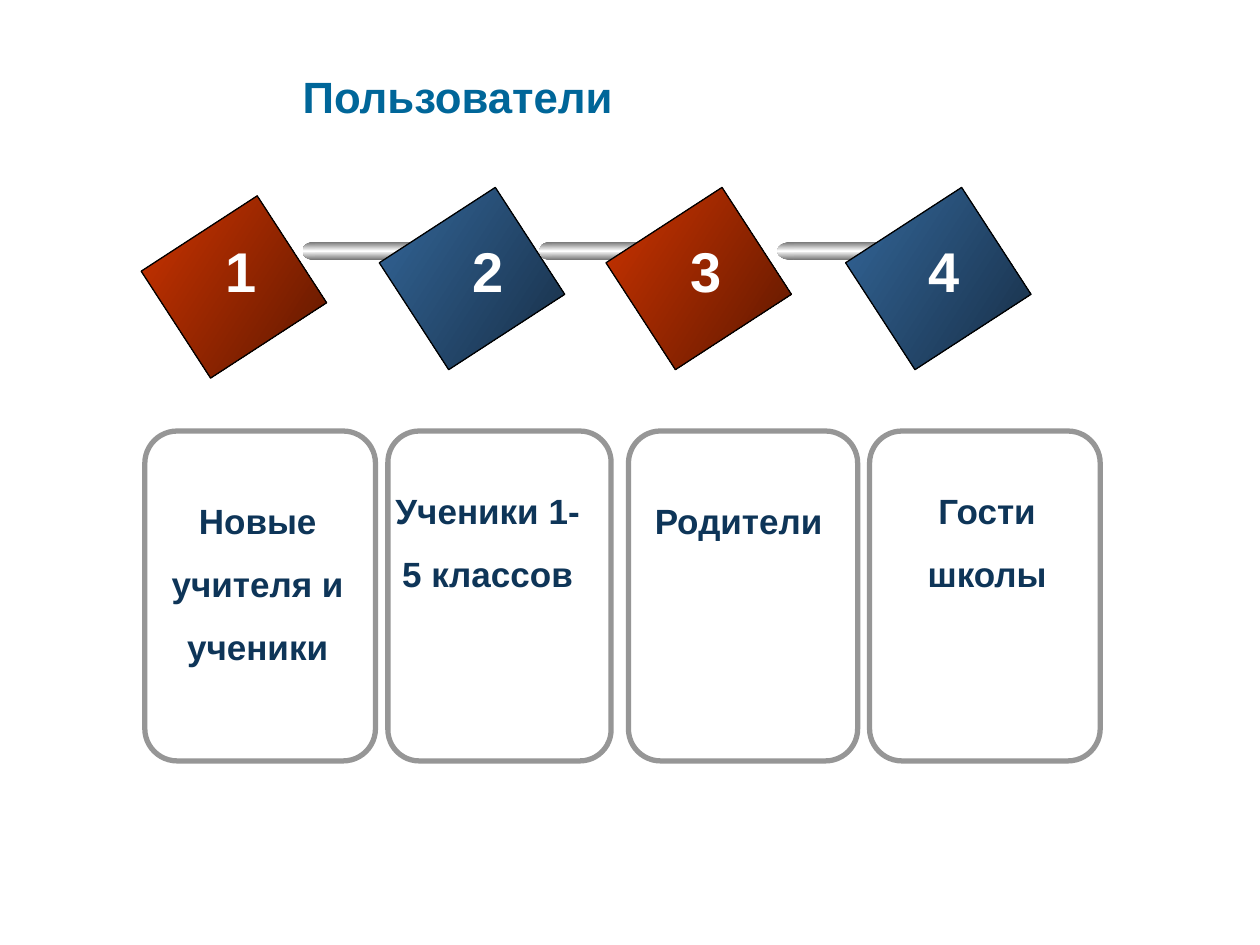
import pptx
import pptx.dml.color
import pptx.enum.shapes
import pptx.enum.text
import pptx.oxml
import pptx.oxml.ns
import pptx.util

Cm = pptx.util.Cm
Pt = pptx.util.Pt
SHAPE = pptx.enum.shapes.MSO_SHAPE
ALIGN = pptx.enum.text.PP_ALIGN
ANCHOR = pptx.enum.text.MSO_ANCHOR
AUTO_SIZE = pptx.enum.text.MSO_AUTO_SIZE

COLORS = {
    "title": "006699", "body": "0E3558", "white": "FFFFFF", "black": "000000",
    "panel": "969696", "steel": "767676",
    "red": "CC3300", "dark_red": "5E1800",
    "blue": "336699", "dark_blue": "182F47",
}
RED = ("red", "dark_red")
BLUE = ("blue", "dark_blue")

# Panels: left, width (cm), from back to front
PANELS = [(17.53, 4.65), (12.67, 4.62), (7.82, 4.5), (2.92, 4.65)]
# Diamonds: left, top (cm), gradient
DIAMONDS = [(3.43, 4.39, RED), (8.23, 4.22, BLUE),
            (12.8, 4.22, RED), (17.63, 4.22, BLUE)]
# Rods after the first three diamonds: left (cm), stretch
RODS = [(6.1, 1), (10.87, 1), (15.67, 1.31)]
# Numbers: left, width (cm)
NUMBERS = [(4.29, 1.14), (9.27, 1.14), (13.67, 1.45), (18.47, 1.45)]
# Captions: text, left, top, width, height (cm), wrap
CAPTIONS = [
    ("Ученики 1-5 классов", 7.72, 9.32, 4.22, 4.06, True),
    ("Новые учителя и ученики", 3.1, 9.53, 4.19, 4.06, True),
    ("Родители", 12.95, 9.53, 3.91, 1.52, False),
    ("Гости школы", 17.5, 9.32, 4.8, 2.79, True),
]


def rgb(name):
    return pptx.dml.color.RGBColor.from_string(COLORS[name])


def add_outlined(slide, kind, left, top, width, height, line=None, points=1):
    shape = slide.shapes.add_shape(kind, Cm(left), Cm(top), Cm(width), Cm(height))
    shape.shadow.inherit = False
    shape.fill.background()
    if line:
        shape.line.color.rgb = rgb(line)
        shape.line.width = Pt(points)
    else:
        shape.line.fill.background()
    return shape


def set_gradient(shape, names, angle):
    """Spread the named colours evenly along a fixed screen angle."""
    stops = "".join(
        f'<a:gs pos="{100000 * index // (len(names) - 1)}">'
        f'<a:srgbClr val="{COLORS[name]}"/></a:gs>'
        for index, name in enumerate(names))
    gradient = pptx.oxml.parse_xml(
        f'<a:gradFill {pptx.oxml.ns.nsdecls("a")} rotWithShape="0">'
        f'<a:gsLst>{stops}</a:gsLst>'
        f'<a:lin ang="{angle * 60000}" scaled="0"/></a:gradFill>')
    properties = shape.element.spPr
    old_fill = properties.find(pptx.oxml.ns.qn("a:noFill"))
    properties.replace(old_fill, gradient)


def add_panel(slide, left, width):
    panel = add_outlined(slide, SHAPE.ROUNDED_RECTANGLE, left, 8.69, width, 6.65,
                         "panel", 3)
    panel.adjustments[0] = 0.14


def add_diamond(slide, left, top, gradient):
    diamond = add_outlined(slide, SHAPE.RECTANGLE, left, top, 2.57, 2.79,
                           "black", 0.75)
    diamond.rotation = 57
    set_gradient(diamond, gradient, 33)


def add_rod(slide, left, stretch):
    # Kind, offset, top, width, height, line
    parts = [
        (SHAPE.OVAL, 0, 4.88, 0.43, 0.36, None),
        (SHAPE.RECTANGLE, 0.25, 4.88, 2.16, 0.36, None),
        (SHAPE.OVAL, 2.21, 4.88, 0.38, 0.36, "white"),
        (SHAPE.OVAL, 2.41, 5, 0.1, 0.1, None),
    ]
    for kind, offset, top, width, height, line in parts:
        part = add_outlined(slide, kind, left + offset * stretch, top,
                            width * stretch, height, line)
        set_gradient(part, ("steel", "white", "steel"), 90)


def add_text(slide, text, left, top, width, height, size, color,
             align=ALIGN.LEFT, wrap=True, spacing=None):
    box = slide.shapes.add_textbox(Cm(left), Cm(top), Cm(width), Cm(height))
    frame = box.text_frame
    frame.word_wrap = wrap
    frame.auto_size = AUTO_SIZE.SHAPE_TO_FIT_TEXT
    paragraph = frame.paragraphs[0]
    paragraph.alignment = align
    if spacing:
        paragraph.line_spacing = spacing
    run = paragraph.add_run()
    run.text = text
    run.font.name = "Arial"
    run.font.size = Pt(size)
    run.font.bold = True
    run.font.color.rgb = rgb(color)
    return frame


def main():
    presentation = pptx.Presentation()
    presentation.slide_width = Cm(25.4)
    presentation.slide_height = Cm(19.05)
    slide = presentation.slides.add_slide(presentation.slide_layouts[6])

    # Panels
    for left, width in PANELS:
        add_panel(slide, left, width)

    # Chain of diamonds and rods
    for index, diamond in enumerate(DIAMONDS):
        add_diamond(slide, *diamond)
        if index < len(RODS):
            add_rod(slide, *RODS[index])

    # Numbers on the diamonds
    for number, (left, width) in enumerate(NUMBERS, 1):
        add_text(slide, str(number), left, 4.65, width, 1.63, 32, "white",
                 wrap=False)

    # Captions in the panels
    for text, left, top, width, height, wrap in CAPTIONS:
        add_text(slide, text, left, top, width, height, 20, "body",
                 ALIGN.CENTER if wrap else ALIGN.LEFT, wrap, 1.5)

    # Title
    title = add_text(slide, "Пользователи", 3.33, 1.27, 11.79, 1.35, 25, "title",
                     ALIGN.CENTER)
    title.auto_size = AUTO_SIZE.NONE
    title.vertical_anchor = ANCHOR.MIDDLE

    presentation.save("out.pptx")


if __name__ == "__main__":
    main()
